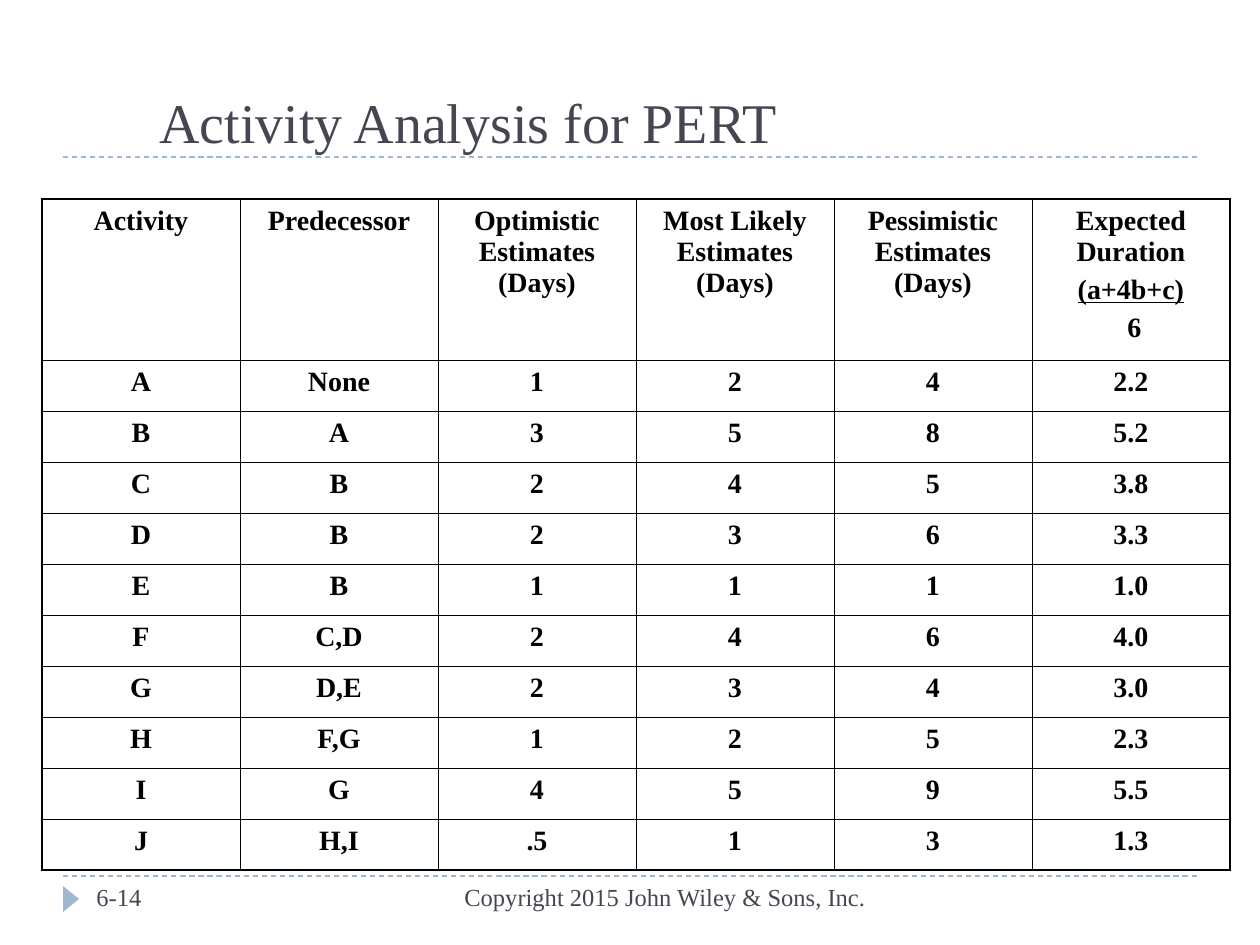
from dataclasses import dataclass

from lxml.etree import SubElement
from pptx import Presentation
from pptx.dml.color import RGBColor
from pptx.enum.dml import MSO_LINE
from pptx.enum.shapes import MSO_CONNECTOR, MSO_SHAPE
from pptx.enum.text import MSO_ANCHOR, PP_ALIGN
from pptx.oxml.ns import qn
from pptx.slide import Slide
from pptx.table import _Cell
from pptx.util import Emu, Pt

PIXELS_PER_INCH = 126
FONT = "Times New Roman"
SLATE = RGBColor(0x46, 0x46, 0x53)
PALE_BLUE = RGBColor(0x9F, 0xB8, 0xCD)
BLACK = RGBColor(0, 0, 0)
INNER_BORDER = Pt(0.45)
OUTER_BORDER = Pt(1.08)

TABLE_LEFT, TABLE_TOP = 42, 199
COLUMN_WIDTH, HEADER_HEIGHT, ROW_HEIGHT = 198, 161, 51
RULE_LEFT, RULE_RIGHT = 63, 1197
RULE_HEIGHTS = (876, 157)
FORMULA = "(a+4b+c)"


@dataclass(frozen=True)
class Label:
    text: str
    left: int
    top: int
    width: int
    height: int
    size: int
    alignment: PP_ALIGN = PP_ALIGN.LEFT
    anchor: MSO_ANCHOR = MSO_ANCHOR.TOP


TITLE = Label("Activity Analysis for PERT", 147, 31, 931, 130, 32, anchor=MSO_ANCHOR.BOTTOM)
FOOTERS = (
    Label("6-14", 84, 876, 273, 50, 14),
    Label("Copyright 2015 John Wiley & Sons, Inc.", 399, 876, 479, 50, 14, PP_ALIGN.RIGHT),
)

ROWS = (
    (
        "Activity",
        "Predecessor",
        "Optimistic Estimates (Days)",
        "Most Likely Estimates (Days)",
        "Pessimistic Estimates (Days)",
        f"Expected Duration\n{FORMULA}\n 6",
    ),
    ("A", "None", "1", "2", "4", "2.2"),
    ("B", "A", "3", "5", "8", "5.2"),
    ("C", "B", "2", "4", "5", "3.8"),
    ("D", "B", "2", "3", "6", "3.3"),
    ("E", "B", "1", "1", "1", "1.0"),
    ("F", "C,D", "2", "4", "6", "4.0"),
    ("G", "D,E", "2", "3", "4", "3.0"),
    ("H", "F,G", "1", "2", "5", "2.3"),
    ("I", "G", "4", "5", "9", "5.5"),
    ("J", "H,I", ".5", "1", "3", "1.3"),
)


def px(length: int) -> Emu:
    return Emu(round(length * 914400 / PIXELS_PER_INCH))


def draw_rule(slide: Slide, height: int) -> None:
    rule = slide.shapes.add_connector(
        MSO_CONNECTOR.STRAIGHT, px(RULE_LEFT), px(height), px(RULE_RIGHT), px(height)
    )
    rule.line.color.rgb = PALE_BLUE
    rule.line.width = Pt(0.75)
    rule.line.dash_style = MSO_LINE.DASH
    SubElement(rule._element.spPr, qn("a:effectLst"))


def draw_marker(slide: Slide) -> None:
    marker = slide.shapes.add_shape(
        MSO_SHAPE.ISOSCELES_TRIANGLE, px(58), px(891), px(26), px(16)
    )
    marker.rotation = 90
    marker.shadow.inherit = False
    marker.fill.solid()
    marker.fill.fore_color.rgb = PALE_BLUE
    marker.line.fill.background()


def draw_label(slide: Slide, label: Label) -> None:
    box = slide.shapes.add_textbox(
        px(label.left), px(label.top), px(label.width), px(label.height)
    )
    frame = box.text_frame
    frame.word_wrap = True
    frame.vertical_anchor = label.anchor
    paragraph = frame.paragraphs[0]
    paragraph.text = label.text
    paragraph.alignment = label.alignment
    paragraph.font.name = FONT
    paragraph.font.size = Pt(label.size)
    paragraph.font.color.rgb = SLATE


def draw_borders(cell: _Cell, outer_sides: dict[str, bool]) -> None:
    properties = cell._tc.get_or_add_tcPr()
    for side, is_outer in outer_sides.items():
        width = OUTER_BORDER if is_outer else INNER_BORDER
        border = SubElement(properties, qn(f"a:ln{side}"), w=str(int(width)))
        fill = SubElement(border, qn("a:solidFill"))
        SubElement(fill, qn("a:srgbClr"), val=str(BLACK))


def fill_cell(cell: _Cell, text: str) -> None:
    cell.fill.background()
    cell.text = text
    for index, paragraph in enumerate(cell.text_frame.paragraphs):
        paragraph.alignment = PP_ALIGN.CENTER
        if index:
            paragraph.space_before = Pt(4)
        paragraph.font.name = FONT
        paragraph.font.size = Pt(16)
        paragraph.font.bold = True
        paragraph.font.color.rgb = BLACK
        if paragraph.text == FORMULA:
            paragraph.font.underline = True


def draw_table(slide: Slide) -> None:
    row_count, column_count = len(ROWS), len(ROWS[0])
    heights = [HEADER_HEIGHT] + [ROW_HEIGHT] * (row_count - 1)
    table = slide.shapes.add_table(
        row_count, column_count, px(TABLE_LEFT), px(TABLE_TOP),
        px(COLUMN_WIDTH * column_count), px(sum(heights)),
    ).table
    table.first_row = False
    table.horz_banding = False
    for column in table.columns:
        column.width = px(COLUMN_WIDTH)
    for row_index, (height, texts) in enumerate(zip(heights, ROWS)):
        table.rows[row_index].height = px(height)
        for column_index, text in enumerate(texts):
            cell = table.cell(row_index, column_index)
            draw_borders(cell, {
                "L": column_index == 0,
                "R": column_index == column_count - 1,
                "T": row_index == 0,
                "B": row_index == row_count - 1,
            })
            fill_cell(cell, text)


def main() -> None:
    presentation = Presentation()
    presentation.slide_width = px(1260)
    presentation.slide_height = px(945)
    slide = presentation.slides.add_slide(presentation.slide_layouts[6])
    for height in RULE_HEIGHTS:
        draw_rule(slide, height)
    draw_marker(slide)
    draw_label(slide, TITLE)
    draw_table(slide)
    for footer in FOOTERS:
        draw_label(slide, footer)
    presentation.save("out.pptx")


if __name__ == "__main__":
    main()
